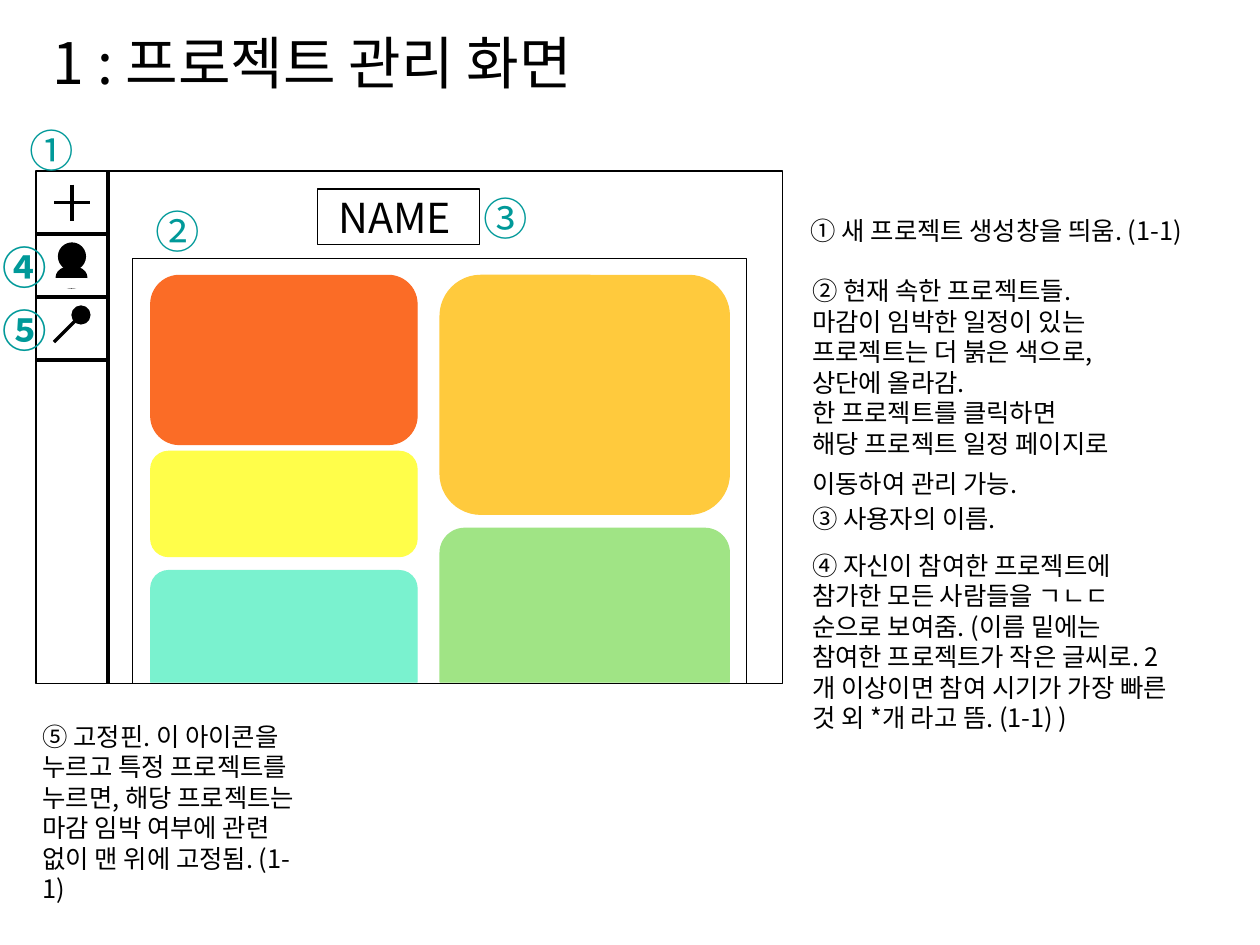
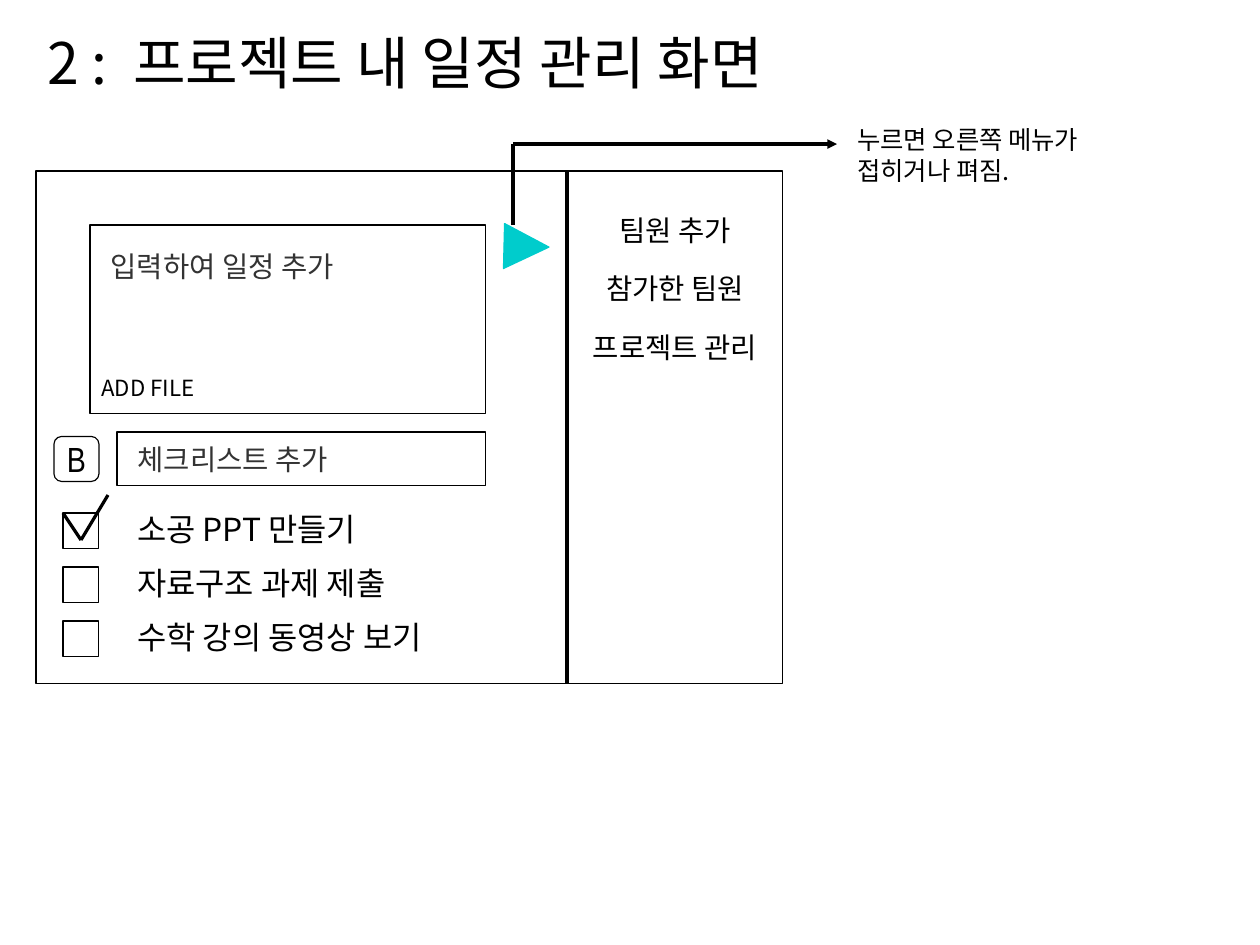
from dataclasses import dataclass
from typing import Any

from lxml.etree import SubElement
from pptx import Presentation
from pptx.dml.color import RGBColor
from pptx.enum.shapes import MSO_CONNECTOR, MSO_SHAPE
from pptx.enum.text import MSO_ANCHOR, PP_ALIGN
from pptx.oxml.ns import qn
from pptx.util import Mm, Pt

CELL = Mm(2)
COLUMNS, ROWS = 140, 105
PANEL = (4, 19, 83, 57)
CORNER = 0.17
FONT = "Noto Sans CJK KR"
BLACK = RGBColor(0x00, 0x00, 0x00)
WHITE = RGBColor(0xFF, 0xFF, 0xFF)
GRAY = RGBColor(0x33, 0x33, 0x33)
TEAL = RGBColor(0x00, 0x99, 0x99)
CYAN = RGBColor(0x00, 0xCC, 0xCC)
ORANGE = RGBColor(0xFB, 0x6C, 0x26)
AMBER = RGBColor(0xFF, 0xCA, 0x3D)
YELLOW = RGBColor(0xFF, 0xFE, 0x4A)
GREEN = RGBColor(0xA0, 0xE4, 0x85)
MINT = RGBColor(0x7A, 0xF2, 0xCF)


def cells(count):
    return round(count * CELL)


def write(text_frame, lines, size, color=BLACK, font=FONT, bold=False, align=PP_ALIGN.LEFT):
    text_frame.word_wrap = True
    text_frame.text = "\n".join(lines)
    for paragraph in text_frame.paragraphs:
        paragraph.alignment = align
        paragraph.font.size = Pt(size)
        paragraph.font.bold = bold
        paragraph.font.color.rgb = color
        paragraph.font.name = font
        defaults = paragraph._p.get_or_add_pPr().find(qn("a:defRPr"))
        SubElement(defaults, qn("a:ea")).set("typeface", font)


@dataclass
class Region:
    slide: Any
    left: float
    top: float
    width: float
    height: float

    def inside(self, left, top, width, height):
        return Region(self.slide, self.left + left, self.top + top, width, height)

    def bounds(self):
        return [cells(n) for n in (self.left, self.top, self.width, self.height)]

    def shape(self, kind=MSO_SHAPE.RECTANGLE, fill=WHITE, line=BLACK, corners=()):
        shape = self.slide.shapes.add_shape(kind, *self.bounds())
        shape.shadow.inherit = False
        shape.fill.solid()
        shape.fill.fore_color.rgb = fill
        shape.line.color.rgb = line
        shape.line.width = 0
        for index, corner in enumerate(corners):
            shape.adjustments[index] = corner
        return shape

    def text(self, *lines, size=16, **style):
        frame = self.slide.shapes.add_textbox(*self.bounds()).text_frame
        write(frame, lines, size, **style)
        return frame

    def field(self, words, size, color=BLACK, top=None):
        frame = self.shape().text_frame
        frame.margin_left = cells(2.3)
        frame.vertical_anchor = MSO_ANCHOR.MIDDLE
        if top is not None:
            frame.vertical_anchor = MSO_ANCHOR.TOP
            frame.margin_top = cells(top)
        write(frame, [words], size, color)

    def path_line(self, *points, arrow=False):
        ends = [(cells(self.left + x), cells(self.top + y)) for x, y in points]
        for start, end in zip(ends, ends[1:]):
            connector = self.slide.shapes.add_connector(MSO_CONNECTOR.STRAIGHT, *start, *end)
            connector.line.color.rgb = BLACK
            connector.line.width = 0
            properties = connector._element.spPr
            if arrow and end == ends[-1]:
                SubElement(properties.get_or_add_ln(), qn("a:tailEnd")).set("type", "triangle")
            SubElement(properties, qn("a:effectLst"))


def add_screen(deck, title, title_left):
    slide = deck.slides.add_slide(deck.slide_layouts[6])
    page = Region(slide, 0, 0, COLUMNS, ROWS)
    page.inside(title_left, 2.4, 100, 10.5).text(title, size=36)
    panel = page.inside(*PANEL)
    panel.shape()
    return page, panel


def draw_project_board(board):
    board.shape()
    rounded, flat_bottom = MSO_SHAPE.ROUNDED_RECTANGLE, MSO_SHAPE.ROUND_2_SAME_RECTANGLE
    first, second = (2, 29.6), (34.15, 32.15)
    cards = (
        (first, 1.9, 18.8, ORANGE, rounded),
        (second, 1.9, 26.55, AMBER, rounded),
        (first, 21.45, 11.7, YELLOW, rounded),
        (second, 30, 17.1, GREEN, flat_bottom),
        (first, 34.7, 12.4, MINT, flat_bottom),
    )
    for (left, width), top, height, color, kind in cards:
        corners = (CORNER,) if kind == rounded else (0.16, 0)
        board.inside(left, top, width, height).shape(kind, color, color, corners)


def draw_sidebar(bar):
    row = 7
    bar.path_line((bar.width, 0), (bar.width, bar.height))
    for index in range(1, 4):
        bar.path_line((0, index * row), (bar.width, index * row))
    bar.path_line((2, 3.5), (6, 3.5))
    bar.path_line((4, 1.5), (4, 5.5))

    person = bar.inside(0, row, bar.width, row)
    person.inside(2.5, 1, 3, 3).shape(MSO_SHAPE.OVAL, BLACK)
    person.inside(2.25, 3.6, 3.4, 2.4).shape(MSO_SHAPE.OVAL, BLACK)
    person.inside(1.75, 5, 4, 1).shape(line=WHITE)

    pin = bar.inside(0, 2 * row, bar.width, row)
    pin.inside(4, 1, 2, 2).shape(MSO_SHAPE.OVAL, BLACK)
    pin.path_line((5, 2), (2, 5))


def draw_markers(panel):
    markers = (
        ("①", -2, -5.9, False),
        ("②", 12, 3, False),
        ("③", 48.45, 1.6, False),
        ("④", -5, 7, True),
        ("⑤", -5, 14, True),
    )
    for number, left, top, bold in markers:
        panel.inside(left, top, 8, 8).text(number, size=28, color=TEAL, bold=bold)


def draw_notes(notes):
    notes.inside(-0.15, 0, 50, 5.7).text("① 새 프로젝트 생성창을 띄움. (1-1)")
    projects = notes.inside(0, 6.75, 50, 25).text(
        "② 현재 속한 프로젝트들.",
        "마감이 임박한 일정이 있는",
        "프로젝트는 더 붉은 색으로,",
        "상단에 올라감.",
        "한 프로젝트를 클릭하면",
        "해당 프로젝트 일정 페이지로",
        "이동하여 관리 가능.",
    )
    projects.paragraphs[-1].space_before = Pt(6)
    notes.inside(0, 32, 50, 5.7).text("③ 사용자의 이름.")
    notes.inside(0, 37.25, 42, 25.6).text(
        "④ 자신이 참여한 프로젝트에 참가한 모든 사람들을 ㄱㄴㄷ 순으로 보여줌. "
        "(이름 밑에는 참여한 프로젝트가 작은 글씨로. 2개 이상이면 참여 시기가 가장 "
        "빠른 것 외 *개 라고 뜸. (1-1) )"
    )


def draw_pin_note(note):
    note.text(
        "⑤ 고정핀. 이 아이콘을 누르고 특정 프로젝트를 누르면, 해당 프로젝트는 "
        "마감 임박 여부에 관련 없이 맨 위에 고정됨. (1-1)"
    )


def draw_schedule(area):
    entry = area.inside(6, 6, 44, 21)
    entry.field("입력하여 일정 추가", 18, GRAY, top=2.7)
    entry.inside(0, 16, 22, 5).text("ADD FILE", size=14)
    area.inside(9, 29, 41, 6).field("체크리스트 추가", 18, GRAY)

    bold_button = area.inside(2, 29.5, 5, 5).shape(MSO_SHAPE.ROUNDED_RECTANGLE, corners=(CORNER,))
    label = bold_button.text_frame
    label.margin_left = label.margin_right = label.margin_top = label.margin_bottom = 0
    label.vertical_anchor = MSO_ANCHOR.MIDDLE
    write(label, ["B"], 22, font="Arial Narrow", align=PP_ALIGN.CENTER)

    tasks = ("소공 PPT 만들기", "자료구조 과제 제출", "수학 강의 동영상 보기")
    for index, task in enumerate(tasks):
        checkbox = area.inside(3, 38 + 6 * index, 4, 4)
        checkbox.shape()
        checkbox.inside(7, -1, 38, 6.3).text(task, size=20)
        if index == 0:
            checkbox.path_line((0, 0), (2, 3), (5, -2))


def draw_menu(menu):
    menu.path_line((0, 0), (0, menu.height))
    for index, item in enumerate(("팀원 추가", "참가한 팀원", "프로젝트 관리")):
        menu.inside(0, 4 + 6.5 * index, menu.width, 5.8).text(item, size=18, align=PP_ALIGN.CENTER)


def draw_menu_toggle(panel):
    toggle = panel.inside(52, 5.9, 5, 5).shape(MSO_SHAPE.ISOSCELES_TRIANGLE, CYAN, CYAN)
    toggle.rotation = 91.4
    panel.path_line((53, 6), (53, -3), (89, -3), arrow=True)
    panel.inside(90, -5.8, 32, 9.4).text("누르면 오른쪽 메뉴가", "접히거나 펴짐.")


def build_project_screen(deck):
    page, panel = add_screen(deck, "1 : 프로젝트 관리 화면", 4.6)
    draw_project_board(panel.inside(10.75, 9.7, 68.2, 47.25))
    panel.inside(31.3, 2, 18, 6.2).field("NAME", 26)
    draw_sidebar(panel.inside(0, 0, 8, panel.height))
    draw_markers(panel)
    draw_notes(page.inside(89, 23.25, 50, 63))
    draw_pin_note(page.inside(3.5, 79.5, 30.5, 25))


def build_schedule_screen(deck):
    page, panel = add_screen(deck, "2 :  프로젝트 내 일정 관리 화면", 4)
    draw_schedule(panel.inside(0, 0, 59, panel.height))
    draw_menu(panel.inside(59, 0, 24, panel.height))
    draw_menu_toggle(panel)


def main():
    deck = Presentation()
    deck.slide_width, deck.slide_height = cells(COLUMNS), cells(ROWS)
    build_project_screen(deck)
    build_schedule_screen(deck)
    deck.save("out.pptx")


if __name__ == "__main__":
    main()
